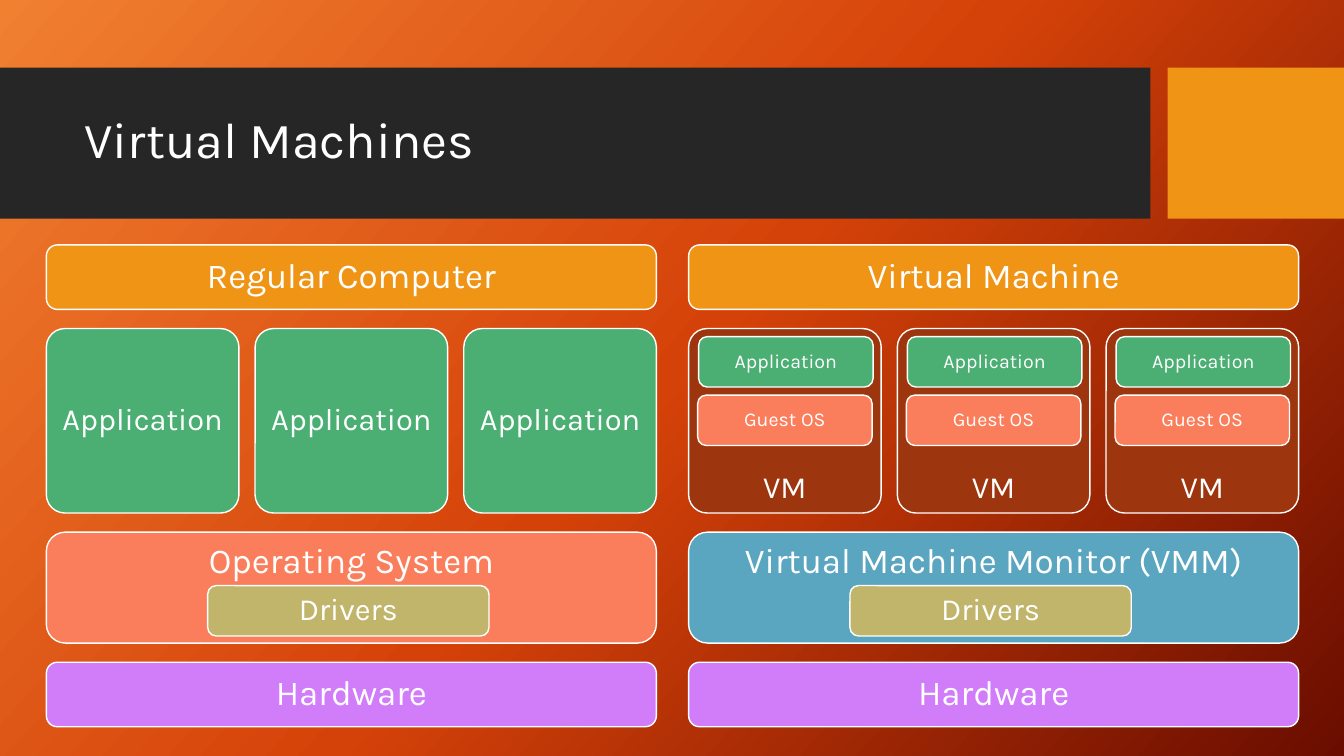
from copy import deepcopy

from pptx import Presentation
from pptx.dml.color import RGBColor
from pptx.enum.shapes import MSO_SHAPE
from pptx.enum.text import MSO_ANCHOR, PP_ALIGN
from pptx.util import Inches, Pt

RECT, ROUND = MSO_SHAPE.RECTANGLE, MSO_SHAPE.ROUNDED_RECTANGLE
TOP, MIDDLE, BOTTOM = MSO_ANCHOR.TOP, MSO_ANCHOR.MIDDLE, MSO_ANCHOR.BOTTOM
LEFT, CENTER = PP_ALIGN.LEFT, PP_ALIGN.CENTER

FONT = "Karla"
COLORS = {
    "white": "FFFFFF", "band": "262626", "heading": "F09415",
    "application": "4BAF73", "os": "FA7E5C", "drivers": "C1B56B",
    "hardware": "D17DF9", "vm": "9D360E", "vmm": "5AA6C0",
    "light": "F18031", "mid": "D54209", "dark": "6A0D00",
}
COLUMN_W = 6.05
TILE_W, TILE_H, TILE_TOP, TILE_STEP = 1.91, 1.83, 3.26, 2.07


def color(name):
    """Return the named colour."""
    return RGBColor.from_string(COLORS[name])


def set_background(s):
    """Fill the slide with a diagonal three-colour gradient."""
    fill = s.background.fill
    fill.gradient()
    fill.gradient_angle = 318
    first = fill.gradient_stops[0]._gs
    first.addnext(deepcopy(first))
    stops = zip(fill.gradient_stops, (0, 0.5, 1), ("light", "mid", "dark"))
    for stop, position, name in stops:
        stop.position = position
        stop.color.rgb = color(name)


def write(sp, text, size, align=CENTER, anchor=MIDDLE, inset=(0.1, 0.05)):
    """Put one formatted line of text in a shape."""
    tf = sp.text_frame
    tf.word_wrap = True
    tf.vertical_anchor = anchor
    tf.margin_left = tf.margin_right = Inches(inset[0])
    tf.margin_top = tf.margin_bottom = Inches(inset[1])
    p = tf.paragraphs[0]
    p.alignment = align
    p.line_spacing = 0.9
    r = p.add_run()
    r.text = text
    r.font.size = Pt(size)
    r.font.name = FONT
    r.font.color.rgb = color("white")


def add_panel(s, x, y, w, h, fill, kind=RECT):
    """Add a plain filled shape."""
    sp = s.shapes.add_shape(kind, Inches(x), Inches(y), Inches(w), Inches(h))
    sp.shadow.inherit = False
    sp.fill.solid()
    sp.fill.fore_color.rgb = color(fill)
    sp.line.fill.background()
    return sp


def add_box(s, x, y, w, h, fill, text, size, radius=0.17, **text_format):
    """Add a rounded, white-edged box with a label."""
    sp = add_panel(s, x, y, w, h, fill, ROUND)
    sp.adjustments[0] = radius
    sp.line.color.rgb = color("white")
    sp.line.width = Pt(1)
    write(sp, text, size, **text_format)


def add_title(s, text):
    """Add the title band, its accent block and the title."""
    add_panel(s, 0, 0.67, 11.41, 1.5, "band")
    add_panel(s, 11.58, 0.67, 1.75, 1.5, "heading")
    sp = s.shapes.add_textbox(Inches(0.74), Inches(0.82), Inches(10.51), Inches(1.18))
    write(sp, text, 36, align=LEFT)


def add_application(s, x):
    """Add an application tile."""
    add_box(s, x, TILE_TOP, TILE_W, TILE_H, "application", "Application", 22, radius=0.1)


def add_vm(s, x):
    """Add a virtual machine tile with its application and guest system."""
    add_box(s, x, TILE_TOP, TILE_W, TILE_H, "vm", "VM", 22, radius=0.1,
            anchor=BOTTOM, inset=(0.15, 0.02))
    add_box(s, x + 0.1, TILE_TOP + 0.08, 1.73, 0.5, "application", "Application", 14)
    add_box(s, x + 0.09, TILE_TOP + 0.66, 1.73, 0.5, "os", "Guest OS", 14)


def add_stack(s, x, heading, add_tile, system, system_fill):
    """Add one column of layers, from the heading down to the hardware."""
    add_box(s, x, 2.43, COLUMN_W, 0.64, "heading", heading, 25)
    for i in range(3):
        add_tile(s, x + i * TILE_STEP)
    add_box(s, x, 5.28, COLUMN_W, 1.1, system_fill, system, 25,
            anchor=TOP, inset=(0.16, 0.06))
    add_box(s, x + 1.6, 5.81, 2.79, 0.5, "drivers", "Drivers", 22)
    add_box(s, x, 6.57, COLUMN_W, 0.64, "hardware", "Hardware", 25)


def main():
    """Build and save the slide."""
    prs = Presentation()
    prs.slide_width, prs.slide_height = Inches(13.33), Inches(7.5)
    s = prs.slides.add_slide(prs.slide_layouts[6])
    set_background(s)
    add_title(s, "Virtual Machines")
    add_stack(s, 0.46, "Regular Computer", add_application, "Operating System", "os")
    add_stack(s, 6.83, "Virtual Machine", add_vm, "Virtual Machine Monitor (VMM)", "vmm")
    prs.save("out.pptx")


if __name__ == "__main__":
    main()
